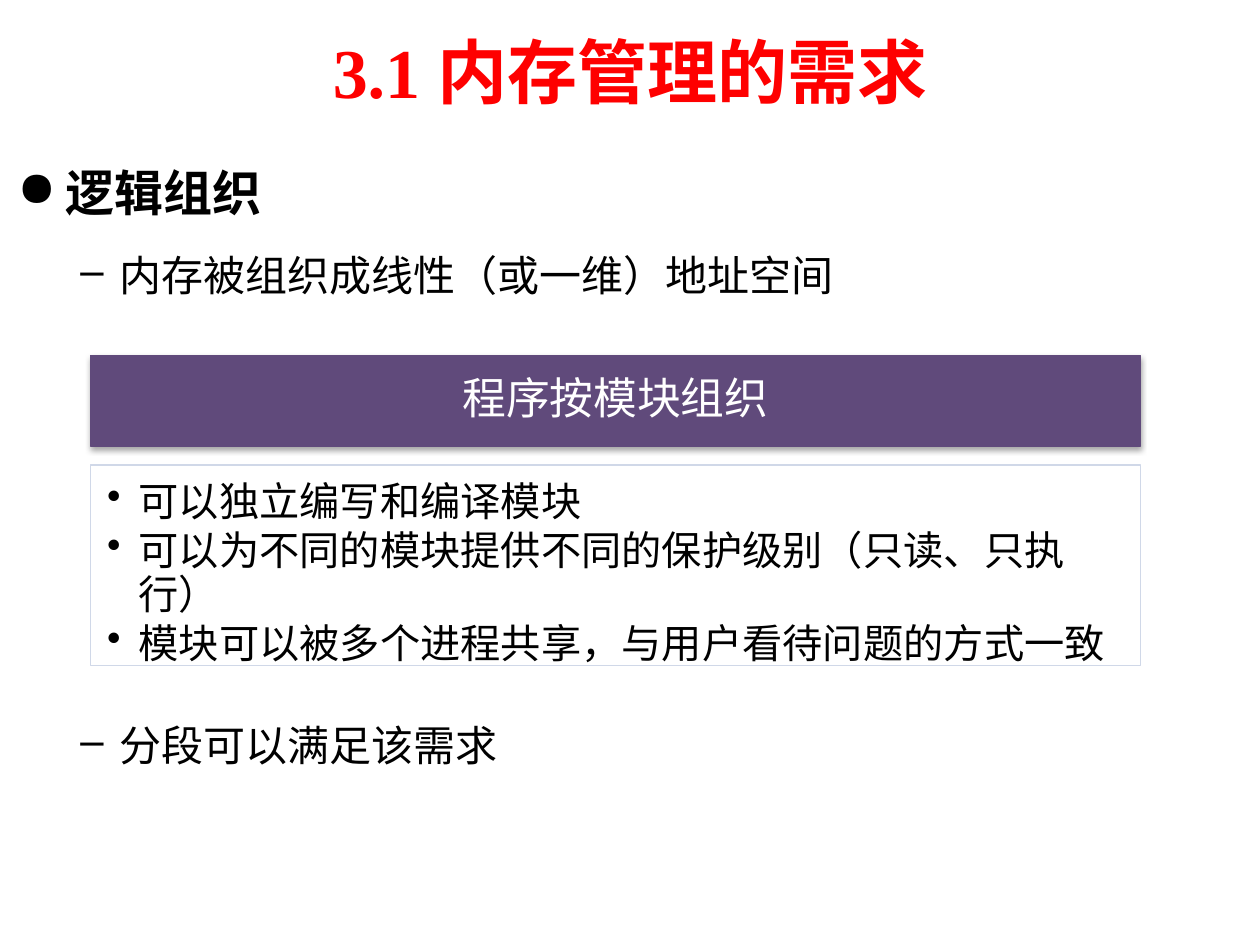
"""Build the slide on the requirements of memory management."""
from dataclasses import dataclass

import lxml.etree
import pptx
import pptx.dml.color
import pptx.enum.shapes
import pptx.enum.text
import pptx.oxml
import pptx.oxml.ns
import pptx.util

MIDDLE = pptx.enum.text.MSO_ANCHOR.MIDDLE
TOP = pptx.enum.text.MSO_ANCHOR.TOP
CENTER = pptx.enum.text.PP_ALIGN.CENTER
LEFT = pptx.enum.text.PP_ALIGN.LEFT


@dataclass(frozen=True)
class Area:
    """A box in percent of the slide's width and height."""
    left: float
    top: float
    width: float
    height: float


@dataclass(frozen=True)
class Style:
    """The look of a paragraph, with lengths in inches and spacing in points."""
    size: float
    font: str
    color: str = "000000"
    bold: bool = False
    align: int = LEFT
    bullet: str = ""
    level: int = 0
    margin: float = 0
    hanging: float = 0
    line: float = 1
    after: float = 0


@dataclass(frozen=True)
class Item:
    """A paragraph's text, style and space before it in points."""
    text: str
    style: Style
    before: float = 0


@dataclass(frozen=True)
class Panel:
    """A filled rectangle with its text."""
    area: Area
    fill: str
    line: str
    insets: tuple
    anchor: int
    items: tuple
    shadow: bool = False


TITLE = Style(40, "Times New Roman", "FE0000", True, CENTER)
TOPIC = Style(28, "Arial", bold=True, bullet="●", margin=0.38, hanging=0.38,
              line=1.2, after=5.6)
POINT = Style(24, "Times New Roman", bullet="–", level=1, margin=0.81,
              hanging=0.31, line=1.2)
HEADER = Style(25, "Calibri", "FFFFFF", align=CENTER, line=0.9, after=8.75)
DETAIL = Style(23, "Calibri", bullet="•", level=1, margin=0.25, hanging=0.25,
               line=0.9, after=3.45)

INSETS = (0.1, 0.05, 0.1, 0.05)
PANELS = (
    Panel(Area(7.2, 37.6, 83.3, 9.6), "604A7B", "604A7B",
          (0.19, 0.11, 0.19, 0.11), MIDDLE,
          (Item("程序按模块组织", HEADER),), True),
    Panel(Area(7.2, 49.2, 83.3, 21.2), "FFFFFF", "D0D8E8",
          (0.13, 0.13, 0.18, 0.2), TOP,
          (Item("可以独立编写和编译模块", DETAIL),
           Item("可以为不同的模块提供不同的保护级别（只读、只执行）", DETAIL),
           Item("模块可以被多个进程共享，与用户看待问题的方式一致", DETAIL))),
)


def rgb(color: str) -> pptx.dml.color.RGBColor:
    """Turn a hex string into a colour."""
    return pptx.dml.color.RGBColor.from_string(color)


def place(prs, area: Area) -> tuple:
    """Turn an area into slide lengths."""
    w, h = prs.slide_width, prs.slide_height
    return tuple(int(share * side / 100) for share, side in
                 ((area.left, w), (area.top, h), (area.width, w), (area.height, h)))


def write_item(p, item: Item) -> None:
    """Write and format one paragraph."""
    style = item.style
    p.text = item.text
    if style.bullet:
        pPr = p._p.get_or_add_pPr()
        pPr.set("marL", str(pptx.util.Inches(style.margin)))
        pPr.set("indent", str(-pptx.util.Inches(style.hanging)))
        bu = lxml.etree.SubElement(pPr, pptx.oxml.ns.qn("a:buChar"))
        bu.set("char", style.bullet)
    p.level = style.level
    p.alignment = style.align
    p.line_spacing = style.line
    p.space_after = pptx.util.Pt(style.after)
    p.space_before = pptx.util.Pt(item.before)
    for r in p.runs:
        r.font.size = pptx.util.Pt(style.size)
        r.font.name = style.font
        r.font.bold = style.bold
        r.font.color.rgb = rgb(style.color)


def write_text(sp, items: tuple, insets: tuple, anchor: int) -> None:
    """Fill a shape with paragraphs."""
    tf = sp.text_frame
    tf.word_wrap = True
    tf.vertical_anchor = anchor
    tf.margin_left, tf.margin_top, tf.margin_right, tf.margin_bottom = (
        pptx.util.Inches(inset) for inset in insets)
    for i, item in enumerate(items):
        write_item(tf.add_paragraph() if i else tf.paragraphs[0], item)


def add_text(prs, s, area: Area, items: tuple, anchor: int = TOP) -> None:
    """Add a text box."""
    write_text(s.shapes.add_textbox(*place(prs, area)), items, INSETS, anchor)


def add_shadow(sp) -> None:
    """Give a shape a soft shadow below it."""
    effects = sp._element.spPr.find(pptx.oxml.ns.qn("a:effectLst"))
    effects.append(pptx.oxml.parse_xml(
        f'<a:outerShdw {pptx.oxml.ns.nsdecls("a")} blurRad="40000" dist="23000" '
        'dir="5400000" rotWithShape="0"><a:srgbClr val="000000">'
        '<a:alpha val="35000"/></a:srgbClr></a:outerShdw>'))


def add_panel(prs, s, panel: Panel) -> None:
    """Add a filled rectangle with text."""
    sp = s.shapes.add_shape(pptx.enum.shapes.MSO_SHAPE.RECTANGLE,
                            *place(prs, panel.area))
    sp.shadow.inherit = False
    sp.fill.solid()
    sp.fill.fore_color.rgb = rgb(panel.fill)
    sp.line.color.rgb = rgb(panel.line)
    sp.line.width = pptx.util.Pt(0.75)
    if panel.shadow:
        add_shadow(sp)
    write_text(sp, panel.items, panel.insets, panel.anchor)


def main() -> None:
    """Build and save the slide."""
    prs = pptx.Presentation()
    prs.slide_width = pptx.util.Inches(10)
    prs.slide_height = pptx.util.Inches(7.5)
    s = prs.slides.add_slide(prs.slide_layouts[6])
    add_text(prs, s, Area(5, 0.67, 90, 13.6),
             (Item("3.1 内存管理的需求", TITLE),), MIDDLE)
    add_text(prs, s, Area(0.4, 15.33, 96.9, 67.2),
             (Item("逻辑组织", TOPIC),
              Item("内存被组织成线性（或一维）地址空间", POINT, 4.8),
              Item("分段可以满足该需求", POINT, 234)))
    for panel in PANELS:
        add_panel(prs, s, panel)
    prs.save("out.pptx")


if __name__ == "__main__":
    main()
